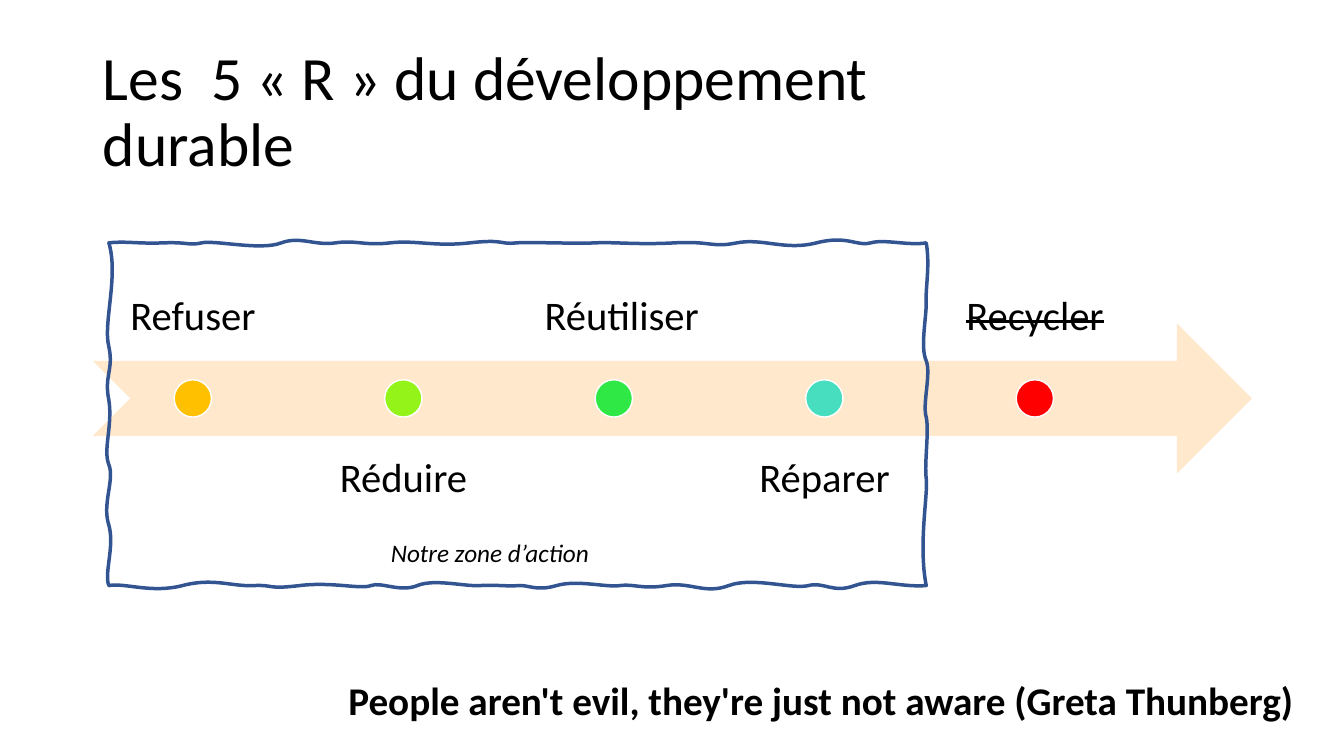
from lxml import etree
from pptx import Presentation, util as u
from pptx.dml.color import RGBColor
from pptx.enum import shapes, text
from pptx.oxml import ns

prs = Presentation()
prs.slide_width, prs.slide_height = u.Cm(33.87), u.Cm(19.05)
s = prs.slides.add_slide(prs.slide_layouts[6])


def paint(sp, fill=None, line=None, width=1):
    sp.shadow.inherit = False
    if fill:
        sp.fill.solid()
        sp.fill.fore_color.rgb = RGBColor.from_string(fill)
    else:
        sp.fill.background()
    if line:
        sp.line.color.rgb = RGBColor.from_string(line)
        sp.line.width = u.Pt(width)
    else:
        sp.line.fill.background()


def add_text(words, box, size, anchor=text.MSO_ANCHOR.TOP, wrap=True):
    tf = s.shapes.add_textbox(*[u.Cm(v) for v in box]).text_frame
    tf.word_wrap = wrap
    tf.vertical_anchor = anchor
    tf.text = words
    r = tf.paragraphs[0].runs[0]
    r.font.size = u.Pt(size)
    r.font.name = "Calibri"
    r.font.color.rgb = RGBColor.from_string("000000")
    return tf, r


# Title
tf, r = add_text("Les  5 « R » du développement durable",
                 (2.34, 1.02, 22.76, 3.68), 44, text.MSO_ANCHOR.MIDDLE)
tf.paragraphs[0].line_spacing = 0.9

# Timeline arrow
arrow = s.shapes.add_shape(shapes.MSO_SHAPE.NOTCHED_RIGHT_ARROW,
                           u.Cm(2.34), u.Cm(8.15), u.Cm(29.21), u.Cm(3.78))
paint(arrow, "FFE8CC")

# Five steps, labels alternately above and below the arrow
steps = [("Refuser", "FFC000", 5.05), ("Réduire", "94F319", 5.05),
         ("Réutiliser", "30E845", 5.44), ("Réparer", "46DEBF", 5.05),
         ("Recycler", "FF0000", 5.05)]
for i, (name, color, width) in enumerate(steps):
    above = i % 2 == 0
    shift = 21.22 * i / 4
    tf, r = add_text(name, (2.34 + shift, 5.32 if above else 10.98, width, 3.78), 29,
                     text.MSO_ANCHOR.BOTTOM if above else text.MSO_ANCHOR.TOP)
    tf.margin_left = tf.margin_right = tf.margin_top = tf.margin_bottom = u.Cm(0.58)
    p = tf.paragraphs[0]
    p.alignment = text.PP_ALIGN.CENTER
    p.line_spacing = 0.9
    if name == "Recycler":
        r._r.get_or_add_rPr().set("strike", "sngStrike")
    dot = s.shapes.add_shape(shapes.MSO_SHAPE.OVAL, u.Cm(4.39 + shift), u.Cm(9.57),
                             u.Cm(0.94), u.Cm(0.94))
    paint(dot, color, "FFFFFF")

# Quotation
tf, r = add_text("People aren't evil, they're just not aware (Greta Thunberg)",
                 (8.53, 16.92, 25.35, 1.45), 28)
r.font.bold = True

# Hand-drawn frame, in hundredths of an inch. Each side: is it horizontal, its level,
# then its waves: (control, offset, control, offset, end) along the side
sides = [
    (True, 241, [
        (124, -2, 136, 1, 162), (188, -1, 187, 3, 200), (213, -3, 259, 8, 279),
        (298, -7, 312, 3, 333), (353, -3, 362, 3, 387), (412, -3, 431, 4, 466),
        (501, -4, 496, 2, 512), (527, -1, 571, 1, 590), (610, -1, 632, 2, 669),
        (706, -2, 706, 5, 731), (757, -5, 779, 8, 810), (841, -8, 851, 4, 864),
        (877, -4, 902, 3, 919)]),
    (False, 919, [
        (264, 4, 286, -1, 301), (316, 0, 345, -6, 358), (371, 5, 401, -4, 414),
        (428, 3, 459, -2, 475), (490, 2, 540, -8, 581)]),
    (True, 581, [
        (892, 2, 870, -8, 848), (826, 8, 818, -4, 802), (786, 4, 747, -9, 723),
        (699, 9, 685, -4, 661), (637, 4, 629, -2, 615), (601, 2, 573, -6, 552),
        (532, 6, 524, -1, 514), (504, 1, 492, -1, 476), (461, 1, 431, -7, 414),
        (397, 7, 378, -4, 368), (358, 4, 330, -4, 297), (264, 4, 273, -1, 251),
        (230, 1, 211, -8, 181), (150, 8, 124, -3, 108)]),
    (False, 108, [
        (569, -5, 542, 6, 521), (500, -7, 476, 6, 461), (446, -6, 422, 4, 397),
        (373, -5, 367, 5, 344), (321, -6, 274, 10, 241)]),
]
curves = []
for horizontal, level, waves in sides:
    for c1, off1, c2, off2, end in waves:
        pairs = [(c1, level + off1), (c2, level + off2), (end, level)]
        curves.append([(u.Cm(a * 0.0254), u.Cm(b * 0.0254)) if horizontal
                       else (u.Cm(b * 0.0254), u.Cm(a * 0.0254)) for a, b in pairs])
outline = s.shapes.build_freeform(*curves[-1][-1])
outline.add_line_segments([curve[-1] for curve in curves], close=True)
frame = outline.convert_to_shape()
paint(frame, line="325491", width=2.5)

# Bend the frame's straight segments into curves
for segment, curve in zip(list(frame._element.iter(ns.qn("a:lnTo"))), curves):
    bend = etree.Element(ns.qn("a:cubicBezTo"))
    for x, y in curve:
        etree.SubElement(bend, ns.qn("a:pt"), x=str(x - frame.left), y=str(y - frame.top))
    segment.getparent().replace(segment, bend)

# Frame caption
tf, r = add_text("Notre zone d’action", (9.6, 13.41, 5.56, 1.02), 18, wrap=False)
r.font.italic = True

prs.save("out.pptx")
